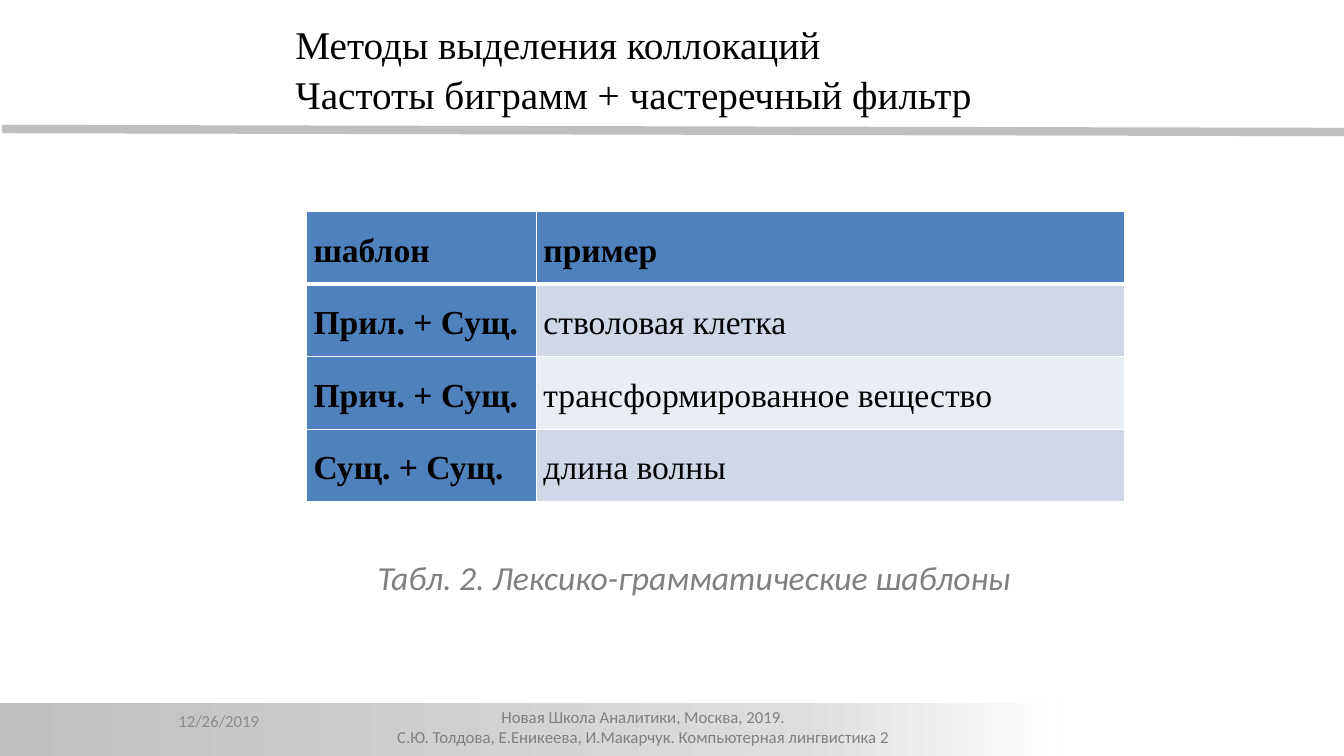
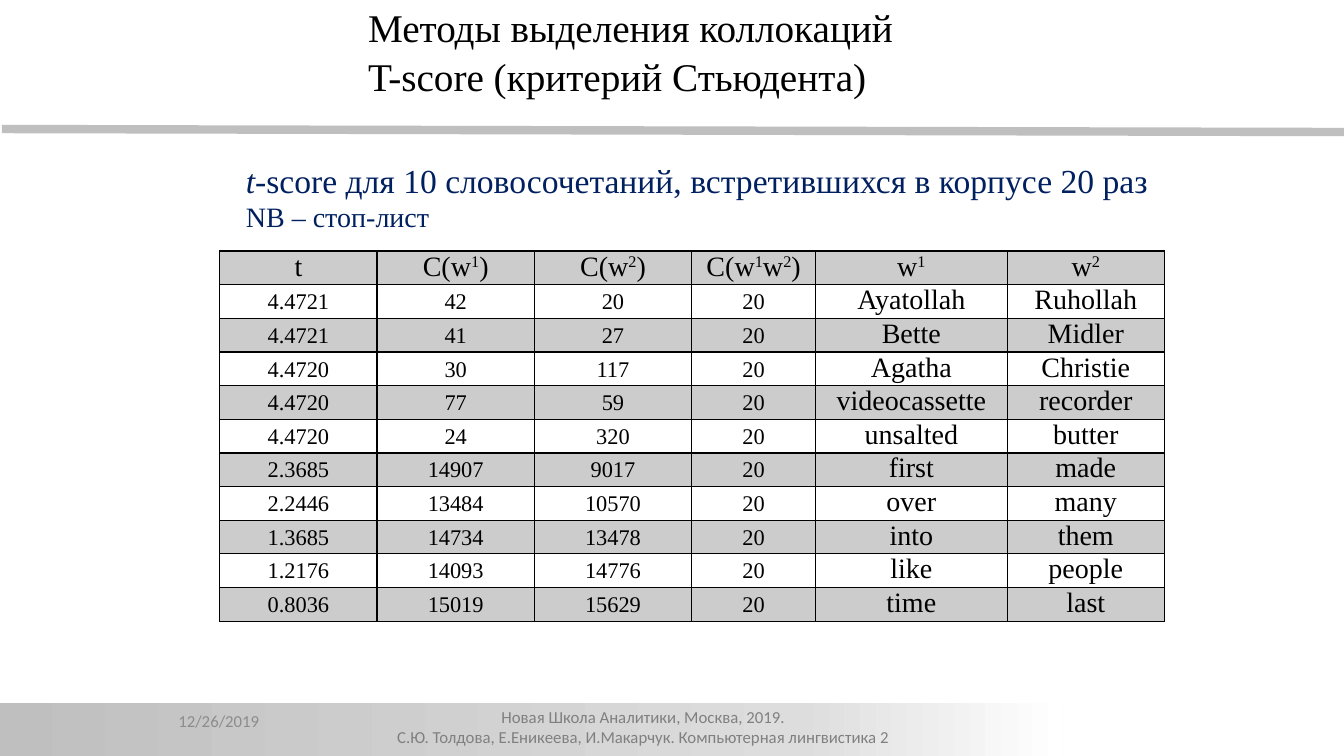
from copy import deepcopy

from lxml.etree import SubElement
from pptx import Presentation
from pptx.dml.color import RGBColor
from pptx.enum.shapes import MSO_CONNECTOR, MSO_SHAPE
from pptx.enum.text import MSO_ANCHOR, MSO_AUTO_SIZE, PP_ALIGN
from pptx.oxml.ns import qn
from pptx.util import Pt

PX = 9144  # 100 px to the inch

BLACK = RGBColor(0x00, 0x00, 0x00)
WHITE = RGBColor(0xFF, 0xFF, 0xFF)
SILVER = RGBColor(0xBF, 0xBF, 0xBF)
PALE_GRAY = RGBColor(0xDD, 0xDD, 0xDD)
ROW_GRAY = RGBColor(0xCC, 0xCC, 0xCC)
TEXT_GRAY = RGBColor(0x80, 0x80, 0x80)
DATE_GRAY = RGBColor(0x8C, 0x8C, 0x8C)
NAVY = RGBColor(0x00, 0x20, 0x60)
BLUE = RGBColor(0x4F, 0x81, 0xBD)
BAND_DARK = RGBColor(0xD0, 0xD8, 0xE8)
BAND_LIGHT = RGBColor(0xE9, 0xED, 0xF4)

SERIF = "Times New Roman"
SANS = "Calibri"


def style_text(frame, font, size, color, align=PP_ALIGN.LEFT, anchor=MSO_ANCHOR.TOP):
    frame.word_wrap = True
    frame.vertical_anchor = anchor
    for para in frame.paragraphs:
        para.alignment = align
        for span in para.runs:
            span.font.name = font
            span.font.size = Pt(size)
            span.font.color.rgb = color


def style_cell(cell, fill, border, widths):
    """Widths are points for the left, right, top and bottom borders."""
    cell.margin_left = cell.margin_right = 7 * PX
    cell.margin_top = cell.margin_bottom = 0
    properties = cell._tc.get_or_add_tcPr()
    for side, width in zip("LRTB", widths):
        line = SubElement(properties, qn(f"a:ln{side}"), w=str(Pt(width)))
        solid = SubElement(line, qn("a:solidFill"))
        SubElement(solid, qn("a:srgbClr"), val=str(border))
    if fill is None:
        cell.fill.background()
    else:
        cell.fill.solid()
        cell.fill.fore_color.rgb = fill


deck = Presentation()
deck.slide_width, deck.slide_height = 1333 * PX, 750 * PX
title_only = deck.slide_layouts[5]

# Shared frame: title, rule, gradient band, footer and date
titles = [
    ("Методы выделения коллокаций\nЧастоты биграмм + частеречный фильтр", 283, 13, 788),
    ("Методы выделения коллокаций\nT-score (критерий Стьюдента)", 355, -4, 588),
]
for text, left, top, width in titles:
    page = deck.slides.add_slide(title_only)

    rule = page.shapes.add_connector(
        MSO_CONNECTOR.STRAIGHT, 2 * PX, 128 * PX, 1335 * PX, 131 * PX)
    rule.line.color.rgb = SILVER
    rule.line.width = Pt(6)
    SubElement(rule._element.spPr, qn("a:effectLst"))

    band = page.shapes.add_shape(
        MSO_SHAPE.RECTANGLE, -1 * PX, 697 * PX, 1056 * PX, 57 * PX)
    band.shadow.inherit = False
    band.line.fill.background()
    band.fill.gradient()
    band.fill.gradient_angle = 0
    stop_list = band._element.spPr.find(qn("a:gradFill")).find(qn("a:gsLst"))
    stop_list.append(deepcopy(stop_list[0]))
    stops = [(0, SILVER), (0.75, PALE_GRAY), (1, WHITE)]
    for stop, (position, color) in zip(band.fill.gradient_stops, stops):
        stop.position = position
        stop.color.rgb = color

    footer = page.shapes.add_textbox(254 * PX, 696 * PX, 768 * PX, 45 * PX)
    footer.text_frame.text = (
        "Новая Школа Аналитики, Москва, 2019.\n"
        "С.Ю. Толдова, Е.Еникеева, И.Макарчук. Компьютерная лингвистика 2")
    style_text(footer.text_frame, SANS, 12, TEXT_GRAY, PP_ALIGN.CENTER)

    date = page.shapes.add_textbox(167 * PX, 695 * PX, 233 * PX, 40 * PX)
    date.text_frame.text = "12/26/2019"
    style_text(date.text_frame, SANS, 12, DATE_GRAY, anchor=MSO_ANCHOR.MIDDLE)

    title = page.shapes.title
    title.left, title.top = left * PX, top * PX
    title.width, title.height = width * PX, 104 * PX
    title.text_frame.text = text
    title.text_frame.auto_size = MSO_AUTO_SIZE.NONE
    style_text(title.text_frame, SERIF, 28, BLACK)
    for para in title.text_frame.paragraphs:
        para.line_spacing = 1.05

patterns_page, score_page = deck.slides

# Slide 1: table of part-of-speech patterns
patterns = [
    ("шаблон", "пример"),
    ("Прил. + Сущ.", "стволовая клетка"),
    ("Прич. + Сущ.", "трансформированное вещество"),
    ("Сущ. + Сущ.", "длина волны"),
]
table = patterns_page.shapes.add_table(
    len(patterns), 2, 304 * PX, 210 * PX, 811 * PX, 288 * PX).table
table.first_row = table.horz_banding = False
for column, width in zip(table.columns, (228, 583)):
    column.width = width * PX
for r, row in enumerate(patterns):
    for c, text in enumerate(row):
        heading = r == 0 or c == 0
        fill = BLUE if heading else BAND_DARK if r % 2 else BAND_LIGHT
        cell = table.cell(r, c)
        cell.text_frame.text = text
        style_text(cell.text_frame, SERIF, 24, BLACK)
        cell.vertical_anchor = MSO_ANCHOR.MIDDLE
        para = cell.text_frame.paragraphs[0]
        para.line_spacing = 1.15
        para.runs[0].font.bold = heading
        style_cell(cell, fill, WHITE, (1, 1, 3 if r == 1 else 1, 3 if r == 0 else 1))

caption = patterns_page.shapes.add_textbox(312 * PX, 548 * PX, 704 * PX, 50 * PX)
caption.text_frame.text = "Табл. 2. Лексико-грамматические шаблоны"
style_text(caption.text_frame, SANS, 24, TEXT_GRAY, PP_ALIGN.CENTER, MSO_ANCHOR.MIDDLE)
caption.text_frame.word_wrap = False
para = caption.text_frame.paragraphs[0]
para.runs[0].font.italic = True
para._p.get_or_add_pPr().set("indent", str(49 * PX))

# Slide 2: t-score table, with superscripts between carets
scores = [
    ("t", "C(w^1^)", "C(w^2^)", "C(w^1^w^2^)", "w^1", "w^2"),
    ("4.4721", "42", "20", "20", "Ayatollah", "Ruhollah"),
    ("4.4721", "41", "27", "20", "Bette", "Midler"),
    ("4.4720", "30", "117", "20", "Agatha", "Christie"),
    ("4.4720", "77", "59", "20", "videocassette", "recorder"),
    ("4.4720", "24", "320", "20", "unsalted", "butter"),
    ("2.3685", "14907", "9017", "20", "first", "made"),
    ("2.2446", "13484", "10570", "20", "over", "many"),
    ("1.3685", "14734", "13478", "20", "into", "them"),
    ("1.2176", "14093", "14776", "20", "like", "people"),
    ("0.8036", "15019", "15629", "20", "time", "last"),
]
table = score_page.shapes.add_table(
    len(scores), 6, 218 * PX, 249 * PX, 937 * PX, 367 * PX).table
table.first_row = table.horz_banding = False
for column, width in zip(table.columns, (156, 156, 156, 123, 190, 156)):
    column.width = width * PX
for r, row in enumerate(scores):
    for c, text in enumerate(row):
        cell = table.cell(r, c)
        para = cell.text_frame.paragraphs[0]
        for i, piece in enumerate(text.split("^")):
            span = para.add_run()
            span.text = piece
            if i % 2:
                span._r.get_or_add_rPr().set("baseline", "30000")
            if r > 0 and c < 4:
                span._r.get_or_add_rPr().set("cap", "small")
        style_text(cell.text_frame, SERIF, 20, BLACK, PP_ALIGN.CENTER)
        style_cell(cell, None if r % 2 else ROW_GRAY, BLACK, (1, 1, 1, 1))

# Slide 2: lead text above the table
lead = score_page.shapes.add_textbox(234 * PX, 153 * PX, 937 * PX, 84 * PX)
lead.text_frame.text = "t"
first, second = lead.text_frame.paragraphs[0], lead.text_frame.add_paragraph()
first.add_run().text = "-score для 10 словосочетаний, встретившихся в корпусе 20 раз"
second.text = "NB – стоп-лист"
style_text(lead.text_frame, SERIF, 24, NAVY, anchor=MSO_ANCHOR.MIDDLE)
first.runs[0].font.italic = True
second.runs[0].font.size = Pt(20)

deck.save("out.pptx")
